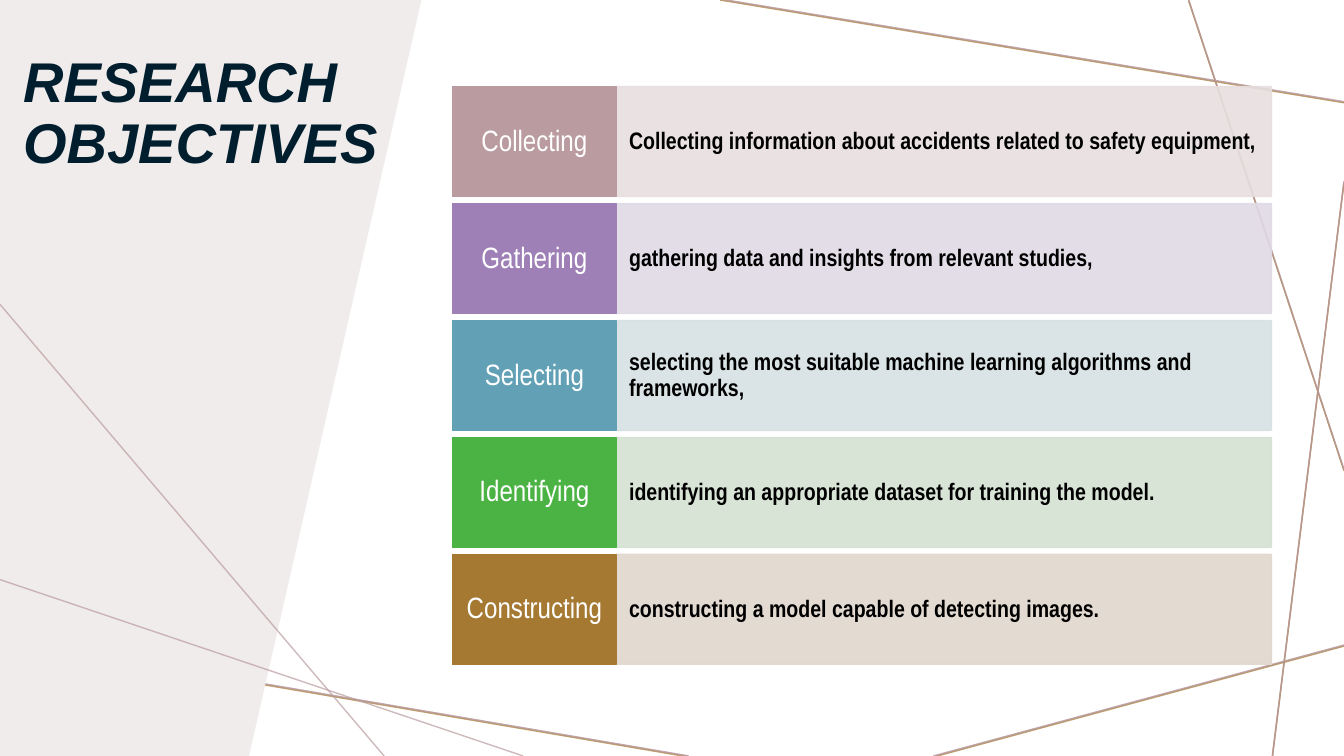
import lxml.etree
import pptx
import pptx.dml.color
import pptx.enum.shapes
import pptx.enum.text
import pptx.oxml.ns
import pptx.util

Inches = pptx.util.Inches
Pt = pptx.util.Pt
RGBColor = pptx.dml.color.RGBColor

ROSE = RGBColor(0xBA, 0x9C, 0xA0)
BRONZE = RGBColor(0xA5, 0x79, 0x31)
PANEL = RGBColor(0xF0, 0xEC, 0xEC)
NAVY = RGBColor(0x00, 0x1E, 0x2E)
BLACK = RGBColor(0x00, 0x00, 0x00)
WHITE = RGBColor(0xFF, 0xFF, 0xFF)

# Background lines: start x, start y, end x, end y
FRAME_LINES = [
    (3.41, 0, 0, 0.75),
    (0.99, 0, 0, 7.16),
    (6.83, 7.5, -0.05, 6.33),
    (13.33, 6.4, 9.26, 7.5),
    (13.33, 1.8, 12.62, 7.5),
    (13.33, 4.66, 11.79, 0),
    (13.33, 1.01, 7.14, -0.01),
]
PANEL_LINES = [(0, 3.02, 3.81, 7.5), (5.19, 7.5, 0, 5.75)]

# Objectives: label, description, label colour, description colour
OBJECTIVES = [
    ("Collecting", "Collecting information about accidents related to safety equipment,",
     ROSE, RGBColor(0xE7, 0xDE, 0xDF)),
    ("Gathering", "gathering data and insights from relevant studies,",
     RGBColor(0x9E, 0x80, 0xB6), RGBColor(0xE0, 0xDA, 0xE5)),
    ("Selecting", "selecting the most suitable machine learning algorithms and frameworks,",
     RGBColor(0x61, 0xA0, 0xB5), RGBColor(0xD6, 0xE1, 0xE3)),
    ("Identifying", "identifying an appropriate dataset for training the model.",
     RGBColor(0x4B, 0xB2, 0x44), RGBColor(0xD4, 0xE2, 0xD2)),
    ("Constructing", "constructing a model capable of detecting images.",
     BRONZE, RGBColor(0xE1, 0xD7, 0xCD)),
]


def set_opacity(shape, percent):
    """Apply one opacity to every solid colour of a shape's fill and line."""
    properties = shape._element.spPr
    for color in list(properties.iter(pptx.oxml.ns.qn("a:srgbClr"))):
        alpha = lxml.etree.SubElement(color, pptx.oxml.ns.qn("a:alpha"))
        alpha.set("val", str(percent * 1000))


def add_lines(slide, lines, color, drop=0):
    for start_x, start_y, end_x, end_y in lines:
        connector = slide.shapes.add_connector(
            pptx.enum.shapes.MSO_CONNECTOR.STRAIGHT,
            Inches(start_x), Inches(start_y + drop), Inches(end_x), Inches(end_y + drop))
        connector.line.color.rgb = color
        connector.line.width = Pt(1)
        set_opacity(connector, 70)
        lxml.etree.SubElement(connector._element.spPr, pptx.oxml.ns.qn("a:effectLst"))


def add_background(slide):
    add_lines(slide, FRAME_LINES, ROSE)
    add_lines(slide, FRAME_LINES, BRONZE, drop=0.01)
    add_lines(slide, FRAME_LINES, ROSE)


def add_panel(slide, left, top, width, height):
    """Slanted side panel."""
    builder = slide.shapes.build_freeform(Inches(left), Inches(top))
    builder.add_line_segments([
        (Inches(left + width), Inches(top)),
        (Inches(left + width - 1.71), Inches(top + height)),
        (Inches(left), Inches(top + height)),
    ], close=True)
    panel = builder.convert_to_shape()
    panel.shadow.inherit = False
    panel.fill.solid()
    panel.fill.fore_color.rgb = PANEL
    panel.line.fill.background()


def add_title(slide, left, top, width, height):
    title = slide.shapes.title
    title.left, title.top = Inches(left), Inches(top)
    title.width, title.height = Inches(width), Inches(height)
    # Bring the title in front of the panel
    slide.shapes._spTree.append(title._element)
    frame = title.text_frame
    frame.word_wrap = True
    frame.auto_size = pptx.enum.text.MSO_AUTO_SIZE.NONE
    frame.vertical_anchor = pptx.enum.text.MSO_ANCHOR.TOP
    paragraph = frame.paragraphs[0]
    paragraph.alignment = pptx.enum.text.PP_ALIGN.LEFT
    paragraph.line_spacing = 0.9
    run = paragraph.add_run()
    run.text = "RESEARCH OBJECTIVES"
    run.font.name = "Arial"
    run.font.size = Pt(40)
    run.font.bold = True
    run.font.italic = True
    run.font.color.rgb = NAVY


def add_cell(slide, box, color, text, size, text_color, alignment, margins, bold=False):
    shape = slide.shapes.add_shape(
        pptx.enum.shapes.MSO_SHAPE.RECTANGLE, *[Inches(length) for length in box])
    shape.shadow.inherit = False
    shape.fill.solid()
    shape.fill.fore_color.rgb = color
    shape.line.color.rgb = color
    shape.line.width = Pt(1)

    frame = shape.text_frame
    frame.word_wrap = True
    frame.vertical_anchor = pptx.enum.text.MSO_ANCHOR.MIDDLE
    frame.margin_left = frame.margin_right = Inches(margins[0])
    frame.margin_top = frame.margin_bottom = Inches(margins[1])
    paragraph = frame.paragraphs[0]
    paragraph.alignment = alignment
    paragraph.line_spacing = 0.9
    run = paragraph.add_run()
    run.text = text
    run.font.name = "Arial Narrow"
    run.font.size = Pt(size)
    run.font.bold = bold
    run.font.color.rgb = text_color
    return shape


def add_objectives(slide, left, top, width, row_height, row_pitch):
    label_width = 1.62
    for index, (label, description, dark, light) in enumerate(OBJECTIVES):
        row_top = top + index * row_pitch
        description_cell = add_cell(
            slide, (left + label_width, row_top, width - label_width, row_height),
            light, description, 17, BLACK,
            pptx.enum.text.PP_ALIGN.LEFT, (0.13, 0.28), bold=True)
        set_opacity(description_cell, 90)
        add_cell(
            slide, (left, row_top, label_width, row_height),
            dark, label, 21, WHITE,
            pptx.enum.text.PP_ALIGN.CENTER, (0.09, 0.11))


def main():
    presentation = pptx.Presentation()
    presentation.slide_width = Inches(13.33)
    presentation.slide_height = Inches(7.5)
    title_only = presentation.slide_layouts[5]
    slide = presentation.slides.add_slide(title_only)

    add_background(slide)
    add_panel(slide, 0, 0, 4.18, 7.5)
    add_title(slide, 0.13, 0.49, 3.81, 2.03)
    add_lines(slide, PANEL_LINES, ROSE)
    add_objectives(slide, 4.49, 0.86, 8.12, 1.09, 1.16)

    presentation.save("out.pptx")


if __name__ == "__main__":
    main()
